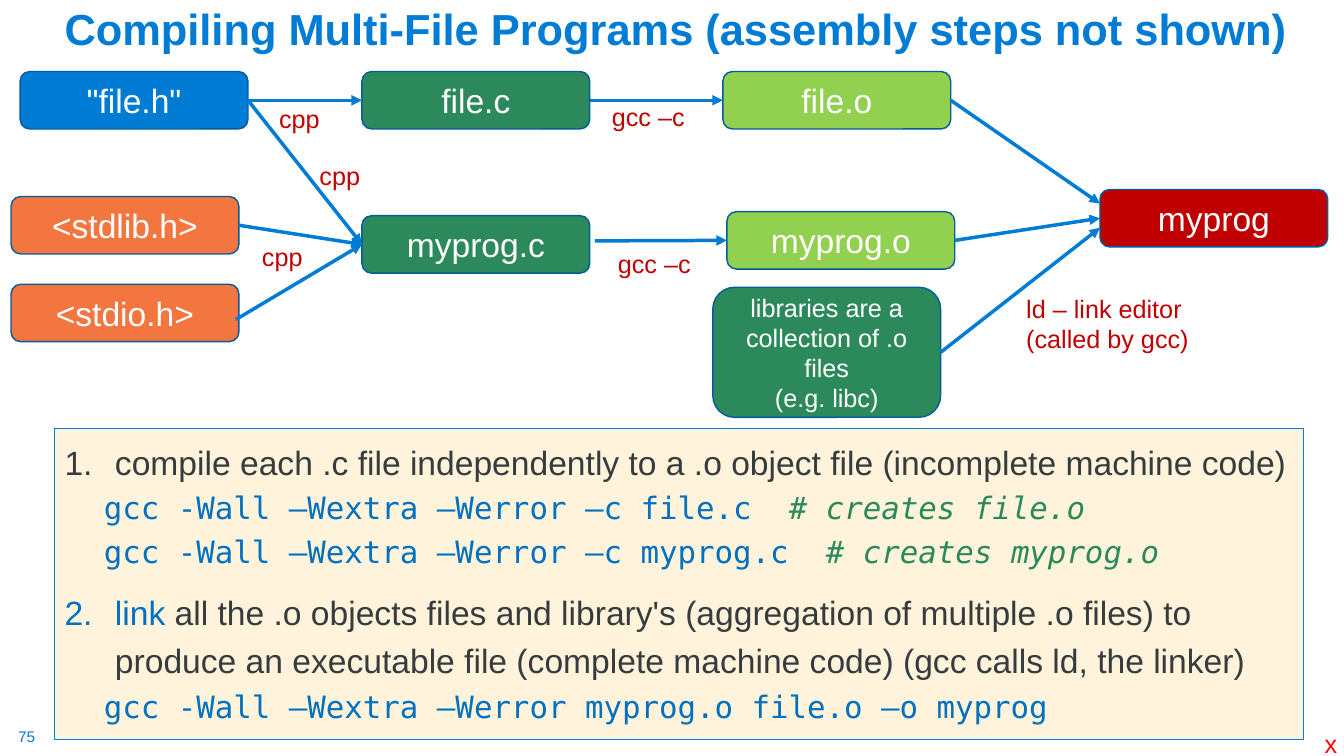
from lxml.etree import SubElement
from pptx import Presentation
from pptx.dml.color import RGBColor
from pptx.enum.shapes import MSO_CONNECTOR as Wire, MSO_SHAPE as Shape
from pptx.enum.text import MSO_ANCHOR as Anchor, MSO_AUTO_SIZE as Fit, PP_ALIGN as Align
from pptx.oxml.ns import qn
from pptx.util import Inches, Pt

HUES = {
    "blue": "007CD5", "edge": "005C9E", "code": "0070C0", "green": "2C895B",
    "lime": "92D050", "orange": "F3753F", "brick": "C00000", "red": "FF0000",
    "cream": "FFF4DB", "ink": "363B3E", "white": "FFFFFF",
}
SANS, MONO = "Arial", "DejaVu Sans Mono"
WIDE, HIGH = 2.26, 0.57
LEFT, RIGHT = 1, 3


def hue(name):
    return RGBColor.from_string(HUES[name])


def place(shape, left, top, width, height):
    shape.left, shape.top = Inches(left), Inches(top)
    shape.width, shape.height = Inches(width), Inches(height)


def style(font, size, name=SANS, color=None):
    font.size, font.name = Pt(size), name
    if color:
        font.color.rgb = hue(color)


def paint(shape, fill, line, width):
    shape.fill.solid()
    shape.fill.fore_color.rgb = hue(fill)
    shape.line.color.rgb = hue(line)
    shape.line.width = Pt(width)


def write(frame, text, size, color, align):
    for i, line in enumerate(text.split("\n")):
        para = frame.add_paragraph() if i else frame.paragraphs[0]
        para.text, para.alignment = line, align
        style(para.font, size, color=color)


def add_box(slide, text, left, top, fill, height=HIGH, size=24):
    box = slide.shapes.add_shape(Shape.ROUNDED_RECTANGLE, Inches(left), Inches(top),
                                 Inches(WIDE), Inches(height))
    box.shadow.inherit = False
    paint(box, fill, "edge", 1)
    box.text_frame.word_wrap = True
    box.text_frame.vertical_anchor = Anchor.MIDDLE
    write(box.text_frame, text, size, "white", Align.CENTER)
    return box


def add_label(slide, text, left, top, width, height=0.4, color="brick", size=18):
    label = slide.shapes.add_textbox(Inches(left), Inches(top), Inches(width), Inches(height))
    frame = label.text_frame
    frame.word_wrap, frame.auto_size = False, Fit.SHAPE_TO_FIT_TEXT
    write(frame, text, size, color, Align.LEFT)
    return frame


def add_arrow(slide, start, end):
    spots = [p if isinstance(p, tuple) else (0, 0) for p in (start, end)]
    arrow = slide.shapes.add_connector(Wire.STRAIGHT, *[Inches(v) for p in spots for v in p])
    if not isinstance(start, tuple):
        arrow.begin_connect(start, RIGHT)
    if not isinstance(end, tuple):
        arrow.end_connect(end, LEFT)
    arrow.line.color.rgb = hue("blue")
    arrow.line.width = Pt(2.5)
    SubElement(arrow.line._get_or_add_ln(), qn("a:tailEnd"), type="triangle")
    SubElement(arrow._element.spPr, qn("a:effectLst"))


def indent(para, margin, hang):
    props = para._p.get_or_add_pPr()
    props.set("marL", str(Inches(margin)))
    props.set("indent", str(Inches(hang)))
    return props


def add_runs(para, runs):
    for text, color in runs:
        run = para.add_run()
        run.text = text
        run.font.color.rgb = hue(color)
        if color == "green":
            run.font.italic = True


def add_step(para, number, runs):
    props = indent(para, 0.5, -0.5)
    tint = SubElement(props, qn("a:buClr"))
    SubElement(tint, qn("a:srgbClr"), val=HUES[runs[0][1]])
    SubElement(props, qn("a:buFont"), typeface=SANS)
    SubElement(props, qn("a:buAutoNum"), type="arabicPeriod", startAt=str(number))
    para.line_spacing = 1.2
    para.space_before = Pt(10 if number > 1 else 0)
    style(para.font, 24)
    add_runs(para, runs)


def add_code(para, code, note=""):
    para.level = 1
    SubElement(indent(para, 0.39, 0), qn("a:buNone"))
    para.space_before = Pt(5)
    style(para.font, 22, MONO)
    add_runs(para, [(code, "code")] + ([(note, "green")] if note else []))


def add_title(slide):
    title = slide.shapes.title
    place(title, 0.54, 0.09, 12.39, 0.5)
    frame = title.text_frame
    frame.auto_size, frame.vertical_anchor = Fit.NONE, Anchor.BOTTOM
    write(frame, "Compiling Multi-File Programs (assembly steps not shown)", 31, "blue", Align.LEFT)
    frame.paragraphs[0].font.bold = True
    frame.paragraphs[0].line_spacing = 0.9


def add_steps(slide):
    body = slide.placeholders[1]
    place(body, 0.54, 4.25, 12.39, 3.09)
    paint(body, "cream", "blue", 0.75)
    frame = body.text_frame
    frame.auto_size = Fit.NONE
    flags = "gcc -Wall –Wextra –Werror "
    add_step(frame.paragraphs[0], 1, [
        ("compile each .c file independently to a .o object file (incomplete machine code)", "ink")])
    for name in ("file", "myprog"):
        add_code(frame.add_paragraph(), f"{flags}–c {name}.c  ", f"# creates {name}.o")
    add_step(frame.add_paragraph(), 2, [
        ("link", "code"),
        (" all the .o objects files and library's (aggregation of multiple .o files) to produce "
         "an executable file (complete machine code) (gcc calls ld, the linker)", "ink")])
    add_code(frame.add_paragraph(), flags + "myprog.o file.o –o myprog")


def add_flow(slide):
    libs = add_box(slide, "libraries are a\ncollection of .o files\n(e.g. libc)",
                   7.07, 2.85, "green", 1.29, 18)
    head = add_box(slide, '"file.h"', 0.2, 0.71, "blue")
    file_c = add_box(slide, "file.c", 3.59, 0.71, "green")
    file_o = add_box(slide, "file.o", 7.17, 0.71, "lime")
    stdlib = add_box(slide, "<stdlib.h>", 0.11, 1.95, "orange")
    add_box(slide, "<stdio.h>", 0.11, 2.82, "orange")
    prog_c = add_box(slide, "myprog.c", 3.59, 2.14, "green")
    prog_o = add_box(slide, "myprog.o", 7.21, 2.1, "lime")
    prog = add_box(slide, "myprog", 10.91, 1.88, "brick")

    for start, end in [
        (head, file_c), (head, prog_c), (stdlib, prog_c), ((2.34, 3.17), prog_c),
        (file_c, file_o), ((5.9, 2.39), prog_o),
        (file_o, (10.91, 2.02)), (prog_o, prog), (libs, (10.91, 2.26)),
    ]:
        add_arrow(slide, start, end)

    for left, top in [(2.67, 0.98), (3.07, 1.54), (2.5, 2.34)]:
        add_label(slide, "cpp", left, top, 0.61)
    for left, top in [(5.97, 0.96), (6.03, 2.41)]:
        add_label(slide, "gcc –c", left, top, 1)
    add_label(slide, "ld – link editor\n(called by gcc)", 10.08, 2.86, 1.83, 0.71)


def main():
    deck = Presentation()
    deck.slide_width, deck.slide_height = Inches(13.33), Inches(7.5)
    slide = deck.slides.add_slide(deck.slide_layouts[1])
    add_title(slide)
    add_steps(slide)
    add_flow(slide)
    add_label(slide, "x", 13.04, 7.18, 0.33, color="red")
    page = add_label(slide, "75", 0.18, 7.21, 0.19, 0.19, "blue", 11)
    page.margin_left = page.margin_right = page.margin_top = page.margin_bottom = 0
    deck.save("out.pptx")


if __name__ == "__main__":
    main()
